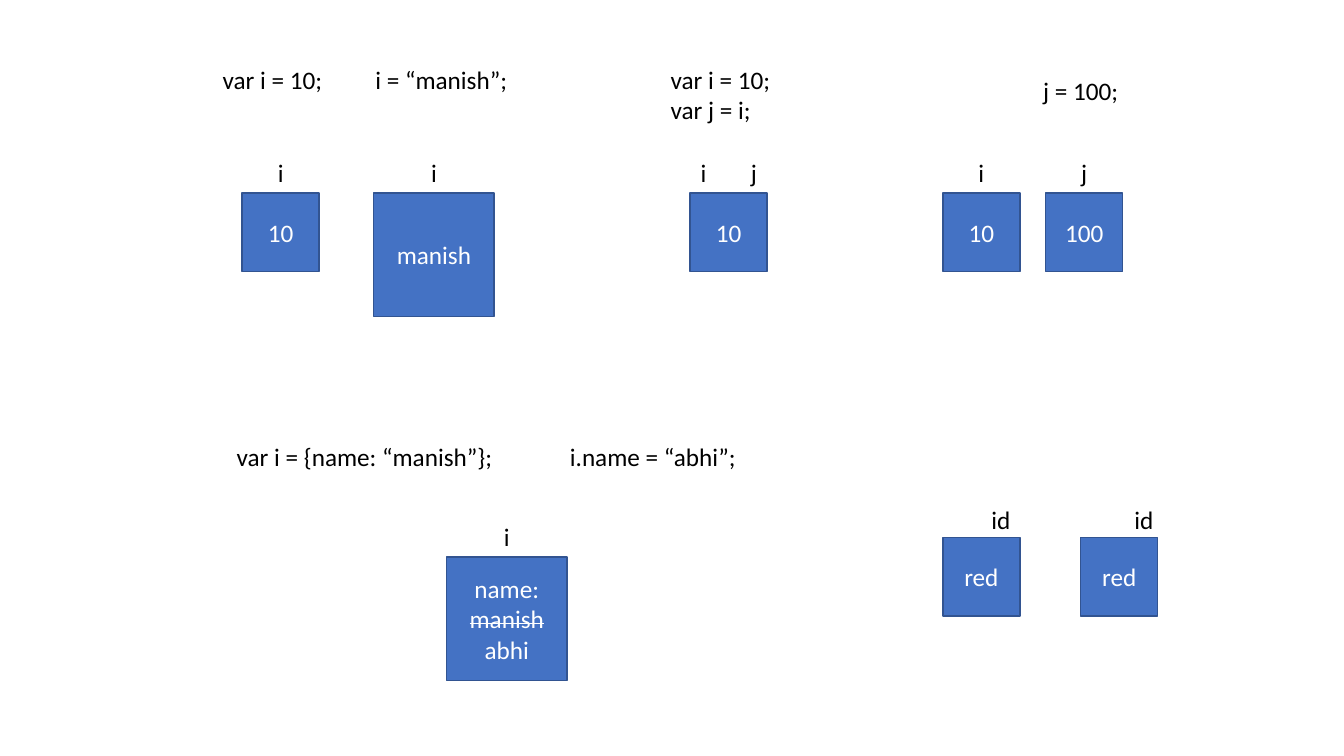
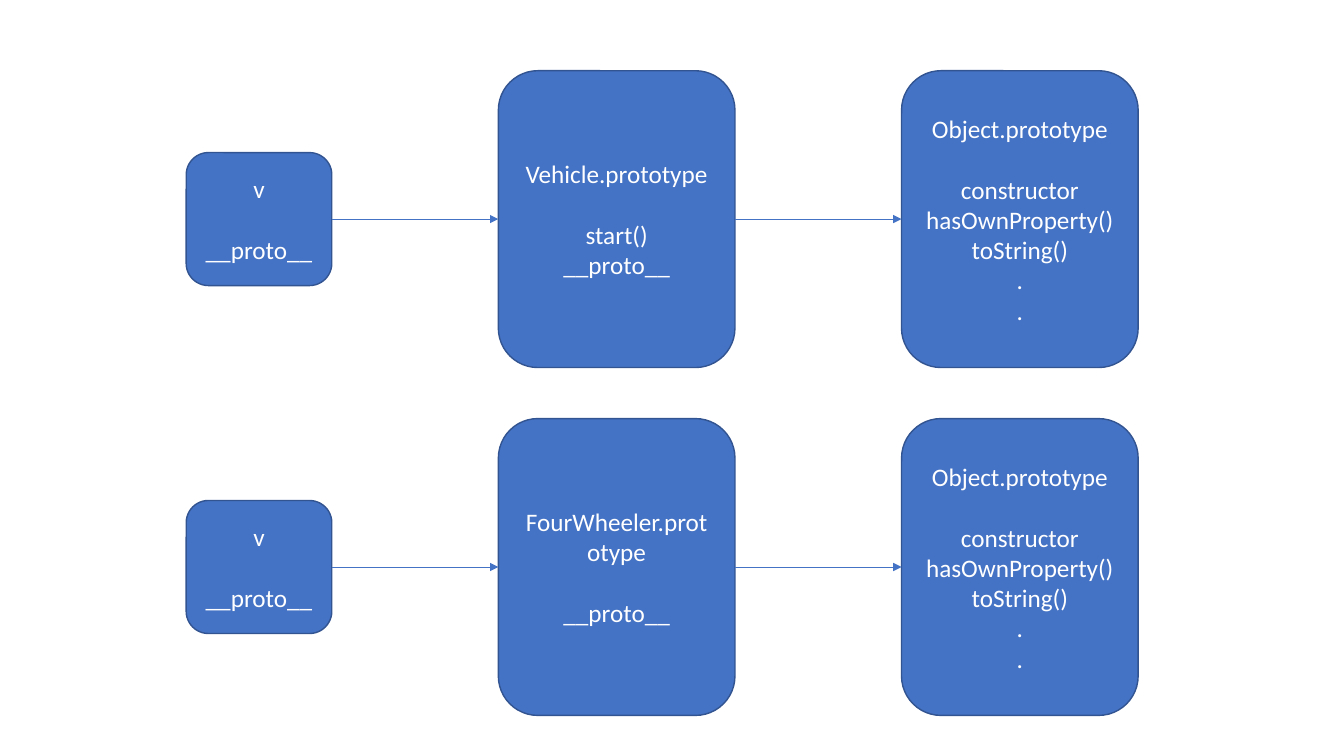
from lxml.etree import SubElement
from pptx import Presentation
from pptx.dml.color import RGBColor
from pptx.enum.shapes import MSO_CONNECTOR, MSO_SHAPE as SHAPE
from pptx.enum.text import MSO_ANCHOR, MSO_AUTO_SIZE, PP_ALIGN as ALIGN
from pptx.oxml.ns import qn
from pptx.util import Pt

BLUE = RGBColor(0x44, 0x72, 0xC4)
DARK_BLUE = RGBColor(0x32, 0x54, 0x91)
WHITE = RGBColor(0xFF, 0xFF, 0xFF)
BLACK = RGBColor(0x00, 0x00, 0x00)
FONT = "Calibri"
FONT_SIZE = 18
LINE_HEIGHT = 22
LABEL_WIDTH, LABEL_HEIGHT = 28, 29
SMALL, LARGE = (55, 56), (86, 88)


def format_paragraph(paragraph, color, align):
    paragraph.alignment = align
    paragraph.font.name = FONT
    paragraph.font.size = Pt(FONT_SIZE)
    paragraph.font.color.rgb = color


def write_groups(frame, groups, color, align):
    """Write groups of lines, with one line of space between groups."""
    paragraph = None
    for group in groups:
        for index, line in enumerate(group):
            is_first = paragraph is None
            paragraph = frame.paragraphs[0] if is_first else frame.add_paragraph()
            paragraph.text = line
            format_paragraph(paragraph, color, align)
            if index == 0 and not is_first:
                paragraph.space_before = Pt(LINE_HEIGHT)


def add_text(slide, left, top, width, lines, align=ALIGN.LEFT):
    height = LABEL_HEIGHT + (len(lines) - 1) * LINE_HEIGHT
    box = slide.shapes.add_textbox(Pt(left), Pt(top), Pt(width), Pt(height))
    box.text_frame.word_wrap = False
    box.text_frame.auto_size = MSO_AUTO_SIZE.SHAPE_TO_FIT_TEXT
    write_groups(box.text_frame, [lines], BLACK, align)


def add_box(slide, kind, left, top, width, height, groups):
    shape = slide.shapes.add_shape(kind, Pt(left), Pt(top), Pt(width), Pt(height))
    shape.shadow.inherit = False
    shape.fill.solid()
    shape.fill.fore_color.rgb = BLUE
    shape.line.color.rgb = DARK_BLUE
    shape.line.width = Pt(1)
    frame = shape.text_frame
    frame.word_wrap = True
    frame.vertical_anchor = MSO_ANCHOR.MIDDLE
    write_groups(frame, groups, WHITE, ALIGN.CENTER)
    return shape


def add_arrow(slide, start, end):
    """Join the right side of one box to the left side of the next."""
    arrow = slide.shapes.add_connector(MSO_CONNECTOR.STRAIGHT, 0, 0, 0, 0)
    arrow.begin_connect(start, 3)
    arrow.end_connect(end, 1)
    arrow.line.color.rgb = BLUE
    arrow.line.width = Pt(0.5)
    SubElement(arrow.line._get_or_add_ln(), qn("a:tailEnd"), type="triangle")
    SubElement(arrow._element.spPr, qn("a:effectLst"))


def add_variable(slide, left, top, size, lines, labels, rise=LABEL_HEIGHT):
    """Draw a memory box; labels are (name, offset from the box centre)."""
    width, height = size
    shape = add_box(slide, SHAPE.RECTANGLE, left, top, width, height, [lines])
    for name, offset in labels:
        label_left = left + (width - LABEL_WIDTH) / 2 + offset
        add_text(slide, label_left, top - rise, LABEL_WIDTH, [name], ALIGN.CENTER)
    return shape


def add_chain(slide, left, top, height, nodes, gap):
    """Draw boxes in a row, centred vertically; nodes are (width, height, groups)."""
    previous = None
    for node_width, node_height, groups in nodes:
        node_top = top + (height - node_height) / 2
        shape = add_box(slide, SHAPE.ROUNDED_RECTANGLE, left, node_top,
                        node_width, node_height, groups)
        if previous is not None:
            add_arrow(slide, previous, shape)
        previous = shape
        left += node_width + gap


def build_variables_slide(slide):
    # Code
    for left, top, width, lines in [
        (152, 42.5, 86, ["var i = 10;"]),
        (261, 42.5, 110, ["i = “manish”;"]),
        (472, 42.5, 86, ["var i = 10;", "var j = i;"]),
        (738, 50, 69, ["j = 100;"]),
        (162, 312, 199, ["var i = {name: “manish”};"]),
        (400, 312, 135, ["i.name = “abhi”;"]),
    ]:
        add_text(slide, left, top, width, lines)

    # Primitive values
    for left, size, value, labels in [
        (173, SMALL, "10", [("i", 0)]),
        (267, LARGE, "manish", [("i", 0)]),
        (493, SMALL, "10", [("i", -18), ("j", 18)]),
        (673.5, SMALL, "10", [("i", 0)]),
        (747, SMALL, "100", [("j", 0)]),
    ]:
        add_variable(slide, left, 138, size, [value], labels)

    # Object whose name has been replaced
    shape = add_variable(slide, 319, 398, LARGE, ["name: ", "abhi"], [("i", 0)])
    old_name = shape.text_frame.paragraphs[0].add_run()
    old_name.text = "manish"
    old_name._r.get_or_add_rPr().set("strike", "sngStrike")

    # Values with an id
    for left, offset in [(673.5, 14), (772, 17.5)]:
        add_variable(slide, left, 384, SMALL, ["red"], [("id", offset)], rise=27)


def build_prototypes_slide(slide):
    instance = [["v"], ["__proto__"]]
    base = [["Object.prototype"],
            ["constructor", "hasOwnProperty()", "toString()", ".", "."]]
    chain_height = 212
    for top, prototype in [
        (50.5, [["Vehicle.prototype"], ["start()", "__proto__"]]),
        (299, [["FourWheeler.prototype"], ["__proto__"]]),
    ]:
        nodes = [(104, 95, instance),
                 (169, chain_height, prototype),
                 (169, chain_height, base)]
        add_chain(slide, 133, top, chain_height, nodes, gap=119)


def main():
    presentation = Presentation()
    presentation.slide_width, presentation.slide_height = Pt(960), Pt(540)
    blank = presentation.slide_layouts[6]
    for build in (build_variables_slide, build_prototypes_slide):
        build(presentation.slides.add_slide(blank))
    presentation.save("out.pptx")


if __name__ == "__main__":
    main()
